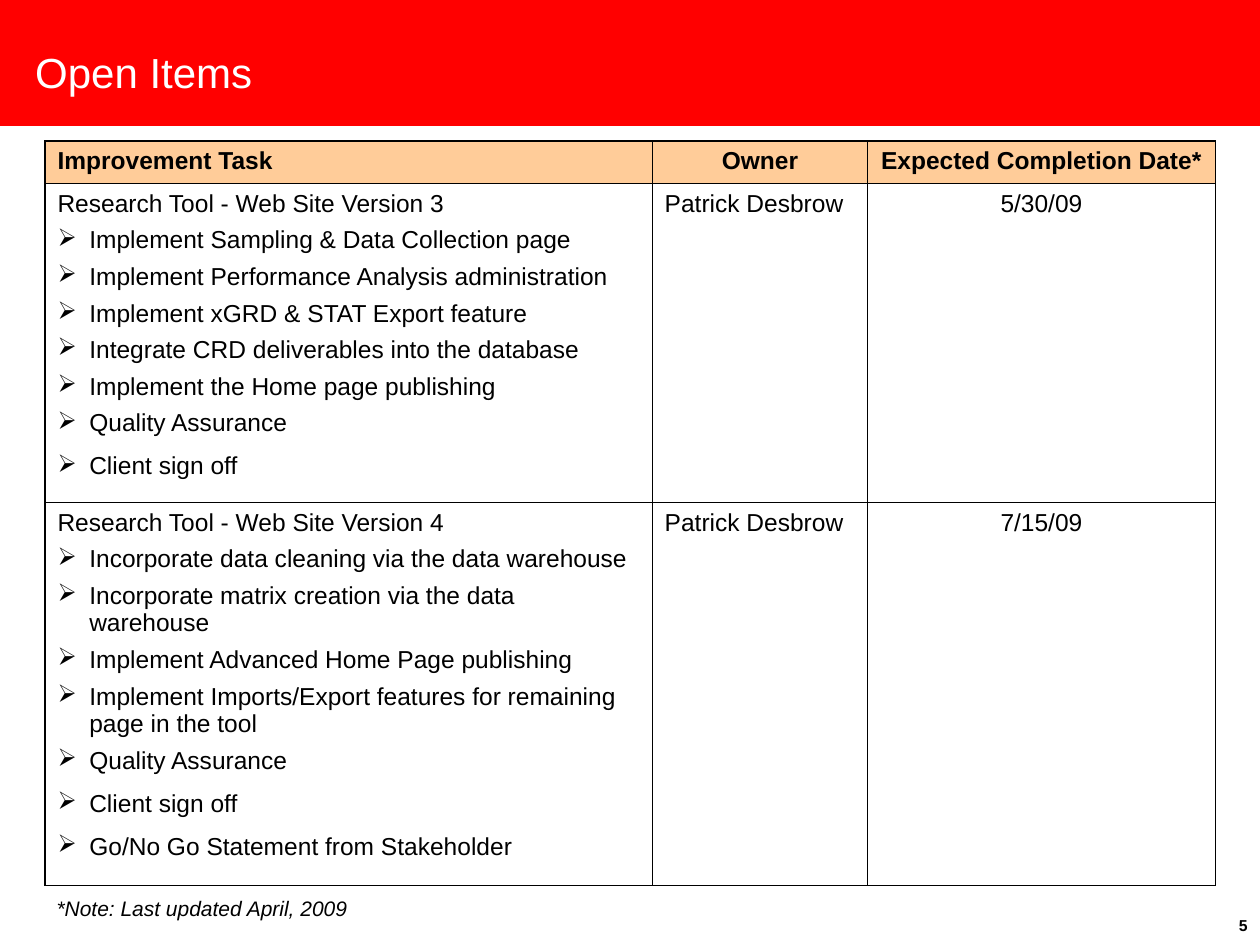
import pptx
import pptx.util
import pptx.dml.color
import pptx.enum.shapes
import pptx.enum.text
import pptx.oxml.ns
import lxml.etree

Cm = pptx.util.Cm
Pt = pptx.util.Pt
ALIGN = pptx.enum.text.PP_ALIGN
ANCHOR = pptx.enum.text.MSO_ANCHOR
COLORS = {"banner": "FF0000", "header": "FFCC99", "white": "FFFFFF", "black": "000000"}


def rgb(name):
    return pptx.dml.color.RGBColor.from_string(COLORS[name])


def style_paragraph(para, size, color="black", bold=False, italic=False, align=ALIGN.LEFT):
    para.alignment = align
    for span in para.runs:
        span.font.name = "Arial"
        span.font.size = Pt(size)
        span.font.bold = bold
        span.font.italic = italic
        span.font.color.rgb = rgb(color)


deck = pptx.Presentation()
deck.slide_width = Cm(25.4)
deck.slide_height = Cm(19.05)
page = deck.slides.add_slide(deck.slide_layouts[6])

banner = page.shapes.add_shape(
    pptx.enum.shapes.MSO_SHAPE.RECTANGLE, Cm(0), Cm(0), Cm(25.4), Cm(2.54))
banner.shadow.inherit = False
banner.fill.solid()
banner.fill.fore_color.rgb = rgb("banner")
banner.line.fill.background()

tasks = [
    ("Research Tool - Web Site Version 3",
     ["Implement Sampling & Data Collection page",
      "Implement Performance Analysis administration",
      "Implement xGRD & STAT Export feature",
      "Integrate CRD deliverables into the database",
      "Implement the Home page publishing",
      "Quality Assurance"],
     ["Client sign off"],
     "Patrick Desbrow", "5/30/09"),
    ("Research Tool - Web Site Version 4",
     ["Incorporate data cleaning via the data warehouse",
      "Incorporate matrix creation via the data warehouse",
      "Implement Advanced Home Page publishing",
      "Implement Imports/Export features for remaining page in the tool",
      "Quality Assurance"],
     ["Client sign off", "Go/No Go Statement from Stakeholder"],
     "Patrick Desbrow", "7/15/09"),
]
rows = [("Improvement Task", "Owner", "Expected Completion Date*")]
for heading, steps, closing_steps, owner, date in tasks:
    rows.append(("\n".join([heading] + steps + closing_steps), owner, date))

column_widths = [12.24, 4.34, 7.01]
row_heights = [0.86, 6.43, 7.72]
table = page.shapes.add_table(
    3, 3, Cm(0.91), Cm(2.84), Cm(sum(column_widths)), Cm(sum(row_heights))).table
table.first_row = False
table.horz_banding = False
for column, width in zip(table.columns, column_widths):
    column.width = Cm(width)
for row, height in zip(table.rows, row_heights):
    row.height = Cm(height)

for i, texts in enumerate(rows):
    for j, text in enumerate(texts):
        cell = table.cell(i, j)
        cell.margin_left = cell.margin_right = Cm(0.25)
        cell.margin_top = cell.margin_bottom = Cm(0.13)
        cell.fill.solid()
        cell.fill.fore_color.rgb = rgb("header" if i == 0 else "white")
        cell.text_frame.text = text
        centred = j == 2 or (i == 0 and j == 1)
        for para in cell.text_frame.paragraphs:
            style_paragraph(para, 14, bold=i == 0,
                            align=ALIGN.CENTER if centred else ALIGN.LEFT)

        outer_edges = {"L": j == 0, "R": j == 2, "T": i == 0, "B": i == 2}
        for position, (side, outer) in enumerate(outer_edges.items()):
            border = pptx.oxml.parse_xml(
                f'<a:ln{side} {pptx.oxml.ns.nsdecls("a")} w="{Pt(1.08 if outer else 0.45)}">'
                f'<a:solidFill><a:srgbClr val="{COLORS["black"]}"/></a:solidFill></a:ln{side}>')
            cell._tc.get_or_add_tcPr().insert(position, border)

for i, (heading, steps, closing_steps, owner, date) in enumerate(tasks, 1):
    for k, para in enumerate(table.cell(i, 0).text_frame.paragraphs):
        properties = para._p.get_or_add_pPr()
        properties.set("marL", str(Cm(0.64)))
        properties.set("indent", str(-Cm(0.64)))
        if k > 0:
            bullet = lxml.etree.SubElement(properties, pptx.oxml.ns.qn("a:buChar"))
            bullet.set("char", "➢")
            para.space_before = Pt(8.8 if k > len(steps) else 5.2)

labels = [
    ("Open Items", (0.71, 0.94, 21.08, 1.02), 0, 0, ANCHOR.BOTTOM,
     {"size": 24, "color": "white"}),
    ("*Note: Last updated April, 2009", (0.89, 17.93, 21.21, 0.76), 0.25, 0.13, ANCHOR.TOP,
     {"size": 12, "italic": True}),
    ("5", (23.88, 18.16, 1.27, 0.69), 0, 0, ANCHOR.BOTTOM,
     {"size": 9, "bold": True, "align": ALIGN.RIGHT}),
]
for text, place, side_margin, end_margin, anchor, style in labels:
    box = page.shapes.add_textbox(*(Cm(length) for length in place))
    frame = box.text_frame
    frame.word_wrap = True
    frame.vertical_anchor = anchor
    frame.margin_left = frame.margin_right = Cm(side_margin)
    frame.margin_top = frame.margin_bottom = Cm(end_margin)
    frame.text = text
    style_paragraph(frame.paragraphs[0], **style)

deck.save("out.pptx")
